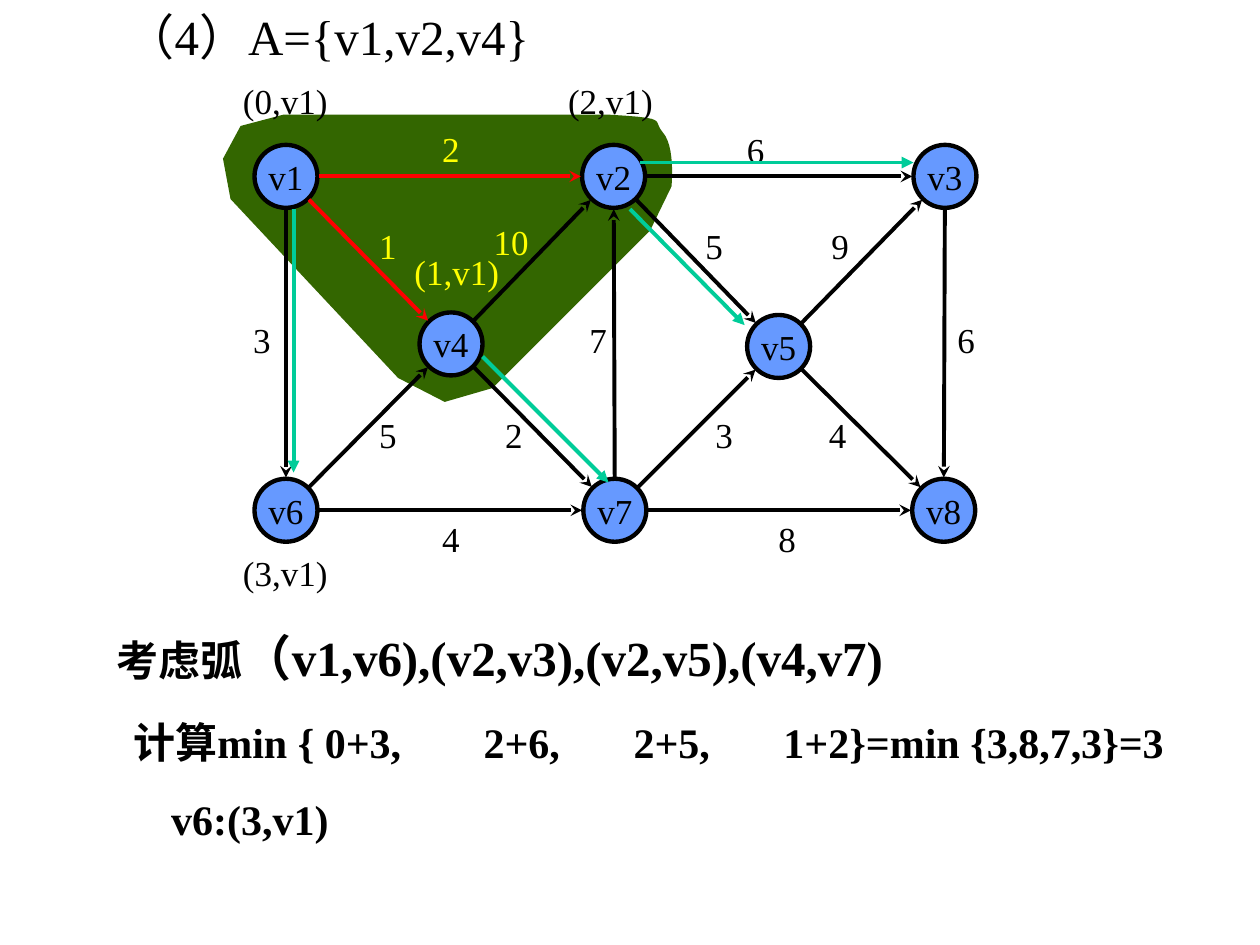
from math import hypot

from lxml import etree
from pptx import Presentation
from pptx.dml.color import RGBColor
from pptx.enum.shapes import MSO_CONNECTOR as Link, MSO_SHAPE as Shape
from pptx.enum.text import MSO_ANCHOR as Anchor, PP_ALIGN as Align
from pptx.oxml.ns import qn
from pptx.util import Inches, Pt

BLACK = RGBColor(0x00, 0x00, 0x00)
RED = RGBColor(0xFF, 0x00, 0x00)
TEAL = RGBColor(0x00, 0xCC, 0x99)
YELLOW = RGBColor(0xFF, 0xFF, 0x00)
BLUE = RGBColor(0x66, 0x99, 0xFF)
GREEN = RGBColor(0x33, 0x66, 0x00)
FACE = "Times New Roman"

SIZE = 0.5   # node diameter
TRIM = 0.26  # gap from a node's centre to the end of an arc

NODES = {
    "v1": (2.27, 1.4), "v2": (4.87, 1.4), "v3": (7.5, 1.4),
    "v4": (3.58, 2.73), "v5": (6.18, 2.75),
    "v6": (2.27, 4.05), "v7": (4.88, 4.05), "v8": (7.49, 4.05),
}

# tail node, head node, weight, left and top of the weight, in set A
ARCS = [
    ("v1", "v2", "2", 3.41, 0.96, True),
    ("v1", "v4", "1", 2.91, 1.73, True),
    ("v1", "v6", "3", 1.91, 2.48, False),
    ("v2", "v3", "6", 5.83, 0.97, False),
    ("v2", "v5", "5", 5.5, 1.73, False),
    ("v3", "v8", "6", 7.5, 2.48, False),
    ("v4", "v2", "10", 3.82, 1.7, False),
    ("v4", "v7", "2", 3.91, 3.23, False),
    ("v5", "v3", "9", 6.5, 1.73, False),
    ("v5", "v8", "4", 6.48, 3.23, False),
    ("v6", "v4", "5", 2.91, 3.23, False),
    ("v6", "v7", "4", 3.41, 4.06, False),
    ("v7", "v2", "7", 4.58, 2.48, False),
    ("v7", "v5", "3", 5.58, 3.23, False),
    ("v7", "v8", "8", 6.08, 4.06, False),
]

# arcs that leave set A
CUT = [
    ((2.33, 1.66), (2.33, 3.75)),
    ((3.83, 2.83), (4.83, 3.83)),
    ((5.08, 1.29), (7.25, 1.29)),
    ((5, 1.66), (5.91, 2.58)),
]

MARKS = [
    ("(0,v1)", 1.83, 0.58, 1.19, BLACK),
    ("(2,v1)", 4.41, 0.58, 0.98, BLACK),
    ("(1,v1)", 3.19, 1.94, 1.12, YELLOW),
    ("(3,v1)", 1.83, 4.33, 0.92, BLACK),
]

# outline of set A: a point, or the three points of a curve
REGION = [
    (2.25, 0.91), (4.83, 0.91),
    ((5.33, 0.94), (5.17, 0.95), (5.26, 1.05)),
    ((5.34, 1.14), (5.34, 1.35), (5.33, 1.48)),
    (5.16, 1.83), (3.91, 3.08), (3.53, 3.19), (3.16, 3),
    (1.83, 1.58), (1.77, 1.26), (1.91, 1),
]

TITLE = "（4）A={v1,v2,v4}"
CONSIDER = [("考虑弧", 24), ("（v1,v6),(v2,v3),(v2,v5),(v4,v7)", 28)]
# text, tab stops
STEPS = [
    ("\t计算min { 0+3,\t2+6,\t2+5,\t1+2}=min {3,8,7,3}=3", [0.53, 3.31, 4.5, 5.69]),
    ("\tv6:(3,v1)", [0.83]),
]

prs = Presentation()
prs.slide_width, prs.slide_height = Inches(10), Inches(7.5)
shapes = prs.slides.add_slide(prs.slide_layouts[6]).shapes


def style(run, size, color=BLACK, bold=False):
    font = run.font
    font.name, font.size, font.bold = FACE, Pt(size), bold
    font.color.rgb = color


def add_text(left, top, width, height):
    frame = shapes.add_textbox(*map(Inches, (left, top, width, height))).text_frame
    frame.word_wrap = True
    return frame


def add_label(text, left, top, width, color, size=20, height=0.44):
    frame = add_text(left, top, width, height)
    frame.text = text
    style(frame.paragraphs[0].runs[0], size, color)


def add_arrow(start, end, color, head):
    line = shapes.add_connector(Link.STRAIGHT, *map(Inches, (*start, *end)))
    line.line.color.rgb = color
    line.line.width = Pt(2.25)
    etree.SubElement(line.line._get_or_add_ln(), qn("a:tailEnd"), type=head)
    etree.SubElement(line._element.spPr, qn("a:effectLst"))


def trace(path, steps=10):
    """Turn points and curves into a plain list of points."""
    dots = []
    for part in path:
        if not isinstance(part[0], tuple):
            dots.append(part)
            continue
        ends = (dots[-1], *part)
        for i in range(1, steps + 1):
            t = i / steps
            mix = ((1 - t) ** 3, 3 * t * (1 - t) ** 2, 3 * t * t * (1 - t), t ** 3)
            dots.append(tuple(sum(m * p[k] for m, p in zip(mix, ends)) for k in (0, 1)))
    return dots


def add_region():
    dots = [(Inches(x), Inches(y)) for x, y in trace(REGION)]
    pen = shapes.build_freeform(*dots[0])
    pen.add_line_segments(dots[1:], close=True)
    area = pen.convert_to_shape()
    area.shadow.inherit = False
    area.fill.solid()
    area.fill.fore_color.rgb = GREEN
    area.line.fill.background()


def add_node(name, x, y):
    node = shapes.add_shape(Shape.OVAL, Inches(x - SIZE / 2), Inches(y - SIZE / 2),
                            Inches(SIZE), Inches(SIZE))
    node.shadow.inherit = False
    node.fill.solid()
    node.fill.fore_color.rgb = BLUE
    node.line.color.rgb = BLACK
    node.line.width = Pt(2.5)
    frame = node.text_frame
    frame.word_wrap = False
    frame.vertical_anchor = Anchor.MIDDLE
    frame.text = name
    frame.paragraphs[0].alignment = Align.CENTER
    style(frame.paragraphs[0].runs[0], 20)


def add_arc(tail, head, color):
    (x1, y1), (x2, y2) = NODES[tail], NODES[head]
    span = hypot(x2 - x1, y2 - y1)
    dx, dy = TRIM * (x2 - x1) / span, TRIM * (y2 - y1) / span
    add_arrow((x1 + dx, y1 + dy), (x2 - dx, y2 - dy), color, "stealth")


add_region()
for name, (x, y) in NODES.items():
    add_node(name, x, y)
for tail, head, weight, left, top, chosen in ARCS:
    add_arc(tail, head, RED if chosen else BLACK)
    inside = chosen or weight == "10"
    add_label(weight, left, top, 0.5 if len(weight) > 1 else 0.42,
              YELLOW if inside else BLACK)
for mark in MARKS:
    add_label(*mark)
for start, end in CUT:
    add_arrow(start, end, TEAL, "triangle")

add_label(TITLE, 0.9, 0, 8, BLACK, 28, 0.57)

para = add_text(0.83, 4.93, 8.82, 0.57).paragraphs[0]
for text, size in CONSIDER:
    run = para.add_run()
    run.text = text
    style(run, size, bold=True)

frame = add_text(0.43, 5.64, 9, 1.11)
for i, (text, stops) in enumerate(STEPS):
    para = frame.add_paragraph() if i else frame.paragraphs[0]
    para.text = text
    if i:
        para.space_before = Pt(15)
    tabs = etree.SubElement(para._p.get_or_add_pPr(), qn("a:tabLst"))
    for stop in stops:
        etree.SubElement(tabs, qn("a:tab"), pos=str(Inches(stop)), algn="l")
    style(para.runs[0], 24, bold=True)

prs.save("out.pptx")
